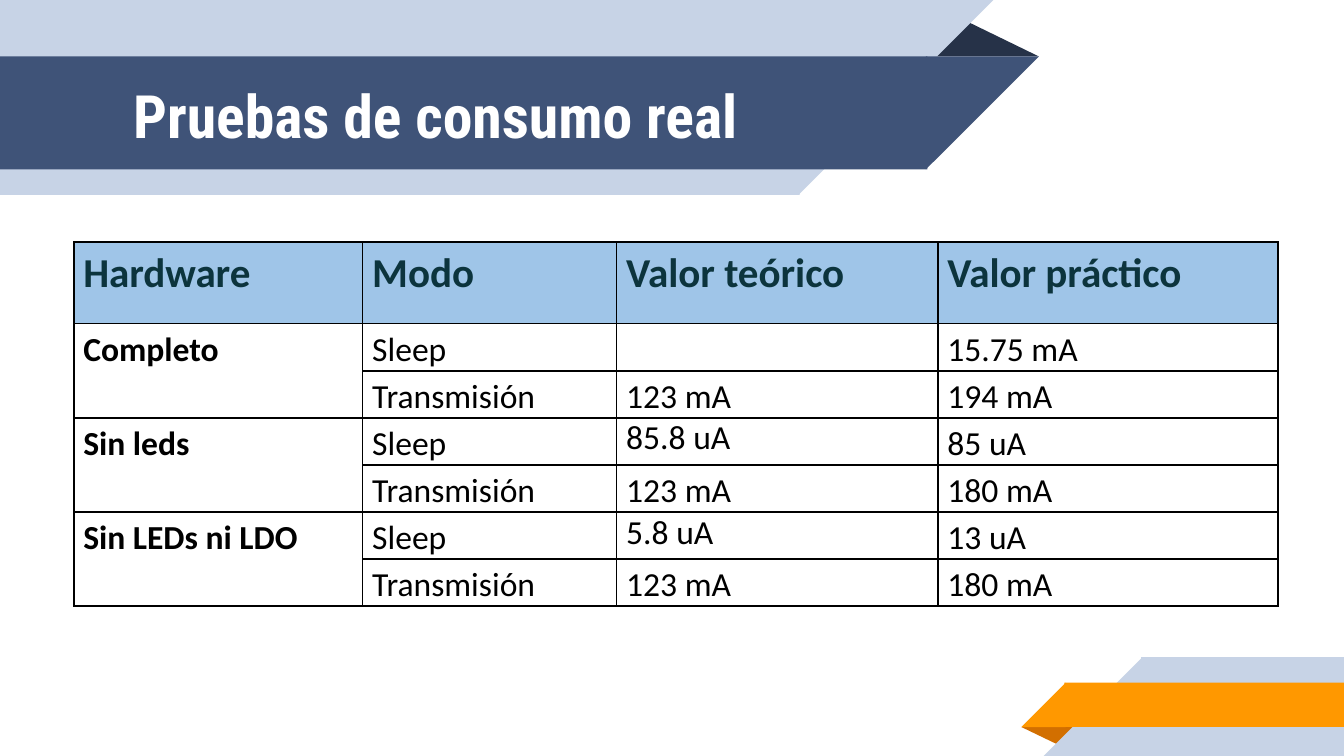
from lxml.etree import SubElement
from pptx import Presentation
from pptx.dml.color import RGBColor
from pptx.enum.shapes import MSO_SHAPE as Preset
from pptx.enum.text import MSO_ANCHOR as Anchor, MSO_AUTO_SIZE as AutoSize, PP_ALIGN as Align
from pptx.oxml.ns import qn
from pptx.util import Inches, Pt

THEME = {
    "navy": "3F5378", "pale": "C7D3E6", "navy_fold": "263248",
    "orange": "FF9800", "orange_fold": "D26F00",
    "white": "FFFFFF", "black": "000000",
    "header_fill": "9FC5E8", "header_text": "0C343D",
    "title_font": "Roboto Condensed", "table_font": "Calibri",
    "title_size": 32, "header_size": 22, "body_size": 18,
    "border_width": 0.75, "line_spacing": 1.14,
}

TITLE = "Pruebas de consumo real"
HEADERS = ["Hardware", "Modo", "Valor teórico", "Valor práctico"]
HARDWARE_TESTS = [
    ("Completo", [("Sleep", "", "15.75 mA"), ("Transmisión", "123 mA", "194 mA")]),
    ("Sin leds", [("Sleep", "85.8 uA", "85 uA"), ("Transmisión", "123 mA", "180 mA")]),
    ("Sin LEDs ni LDO", [("Sleep", "5.8 uA", "13 uA"), ("Transmisión", "123 mA", "180 mA")]),
]
SINGLE_SPACED = {"85.8 uA", "5.8 uA"}

SLIDE_WIDTH = 10
SLIDE_HEIGHT = SLIDE_WIDTH * 9 / 16
COLUMN_WIDTHS = [2.15, 1.89, 2.39, 2.53]
HEADER_HEIGHT, ROW_HEIGHT = 0.61, 0.35
TABLE_LEFT, TABLE_TOP = 0.55, 1.8
SEAM = 0.01

TOP_FOLD = (6.88, 0.14, 0.85, 0.28, "navy_fold", 0)
BOTTOM_FOLD = (7.6, 5.41, 0.43, 0.14, "orange_fold", 180)
TOP_BANDS = [(0, 0, 5.94, 1.45, "pale"), (0, 0.42, 6.89, 0.84, "navy")]
BOTTOM_BANDS = [
    (8.5, 4.89, 1.5, SLIDE_HEIGHT - 4.89, "pale"),
    (7.93, 5.08, 2.07, 0.33, "orange"),
]


def color(key):
    return RGBColor.from_string(THEME[key])


def add_piece(slide, preset, left, top, width, height, fill, rotation=0, mirrored=False):
    piece = slide.shapes.add_shape(preset, *map(Inches, (left, top, width, height)))
    piece.shadow.inherit = False
    piece.fill.solid()
    piece.fill.fore_color.rgb = color(fill)
    piece.line.fill.background()
    piece.rotation = rotation
    if mirrored:
        piece._element.spPr.find(qn("a:xfrm")).set("flipH", "1")
    return piece


def add_fold(slide, left, top, width, height, fill, rotation):
    fold = add_piece(slide, Preset.ISOSCELES_TRIANGLE, left, top, width, height, fill, rotation)
    fold.adjustments[0] = 0.324


def add_band(slide, left, top, width, height, fill, at_top):
    rotation = 180 if at_top else 0
    tip_left = left + width if at_top else left - height
    bar_left = left if at_top else left - SEAM
    add_piece(slide, Preset.RECTANGLE, bar_left, top, width + SEAM, height, fill, rotation, True)
    add_piece(slide, Preset.RIGHT_TRIANGLE, tip_left, top, height, height, fill, rotation, True)


def add_ribbons(slide):
    for fold, bands, at_top in ((TOP_FOLD, TOP_BANDS, True), (BOTTOM_FOLD, BOTTOM_BANDS, False)):
        add_fold(slide, *fold)
        for band in bands:
            add_band(slide, *band, at_top)


def style_font(paragraph, font_name, size, font_color, bold):
    for run in paragraph.runs:
        run.font.name = font_name
        run.font.size = Pt(size)
        run.font.bold = bold
        run.font.color.rgb = color(font_color)


def add_title(slide):
    title = slide.shapes.title
    slide.shapes._spTree.append(title._element)
    title.left, title.top, title.width, title.height = map(Inches, (0.89, 0.43, 5.75, 0.84))
    frame = title.text_frame
    frame.text = TITLE
    frame.word_wrap = True
    frame.auto_size = AutoSize.NONE
    frame.vertical_anchor = Anchor.MIDDLE
    frame.margin_left = frame.margin_right = frame.margin_top = frame.margin_bottom = Inches(0.1)
    frame.paragraphs[0].alignment = Align.LEFT
    style_font(frame.paragraphs[0], THEME["title_font"], THEME["title_size"], "white", True)


def add_borders(cell):
    properties = cell._tc.get_or_add_tcPr()
    for side in ("a:lnL", "a:lnR", "a:lnT", "a:lnB"):
        border = SubElement(properties, qn(side), w=str(Pt(THEME["border_width"])))
        fill = SubElement(border, qn("a:solidFill"))
        SubElement(fill, qn("a:srgbClr"), val=THEME["black"])


def fill_cell(cell, text, is_header, bold):
    add_borders(cell)
    cell.margin_left = cell.margin_right = Inches(0.07)
    cell.margin_top = cell.margin_bottom = 0
    if is_header:
        cell.fill.solid()
        cell.fill.fore_color.rgb = color("header_fill")
    else:
        cell.fill.background()
    paragraph = cell.text_frame.paragraphs[0]
    paragraph.text = text
    paragraph.alignment = Align.JUSTIFY
    if text not in SINGLE_SPACED:
        paragraph.line_spacing = THEME["line_spacing"]
    size, font_color = ("header_size", "header_text") if is_header else ("body_size", "black")
    style_font(paragraph, THEME["table_font"], THEME[size], font_color, bold)


def add_results(slide):
    rows = [HEADERS]
    for hardware, measurements in HARDWARE_TESTS:
        for index, measurement in enumerate(measurements):
            rows.append(["" if index else hardware, *measurement])
    heights = [HEADER_HEIGHT] + [ROW_HEIGHT] * (len(rows) - 1)
    results = slide.shapes.add_table(
        len(rows), len(HEADERS), Inches(TABLE_LEFT), Inches(TABLE_TOP),
        Inches(sum(COLUMN_WIDTHS)), Inches(sum(heights))).table
    results.first_row = results.horz_banding = False
    for column, width in zip(results.columns, COLUMN_WIDTHS):
        column.width = Inches(width)
    for row, height in zip(results.rows, heights):
        row.height = Inches(height)
    for row_index, texts in enumerate(rows):
        for column_index, text in enumerate(texts):
            is_header = row_index == 0
            fill_cell(results.cell(row_index, column_index), text,
                      is_header, is_header or column_index == 0)
    first = 1
    for _, measurements in HARDWARE_TESTS:
        last = first + len(measurements) - 1
        results.cell(first, 0).merge(results.cell(last, 0))
        first = last + 1


def main():
    """Build the slide on measured power consumption."""
    deck = Presentation()
    deck.slide_width, deck.slide_height = Inches(SLIDE_WIDTH), Inches(SLIDE_HEIGHT)
    slide = deck.slides.add_slide(deck.slide_layouts[5])
    add_ribbons(slide)
    add_results(slide)
    add_title(slide)
    deck.save("out.pptx")


if __name__ == "__main__":
    main()
